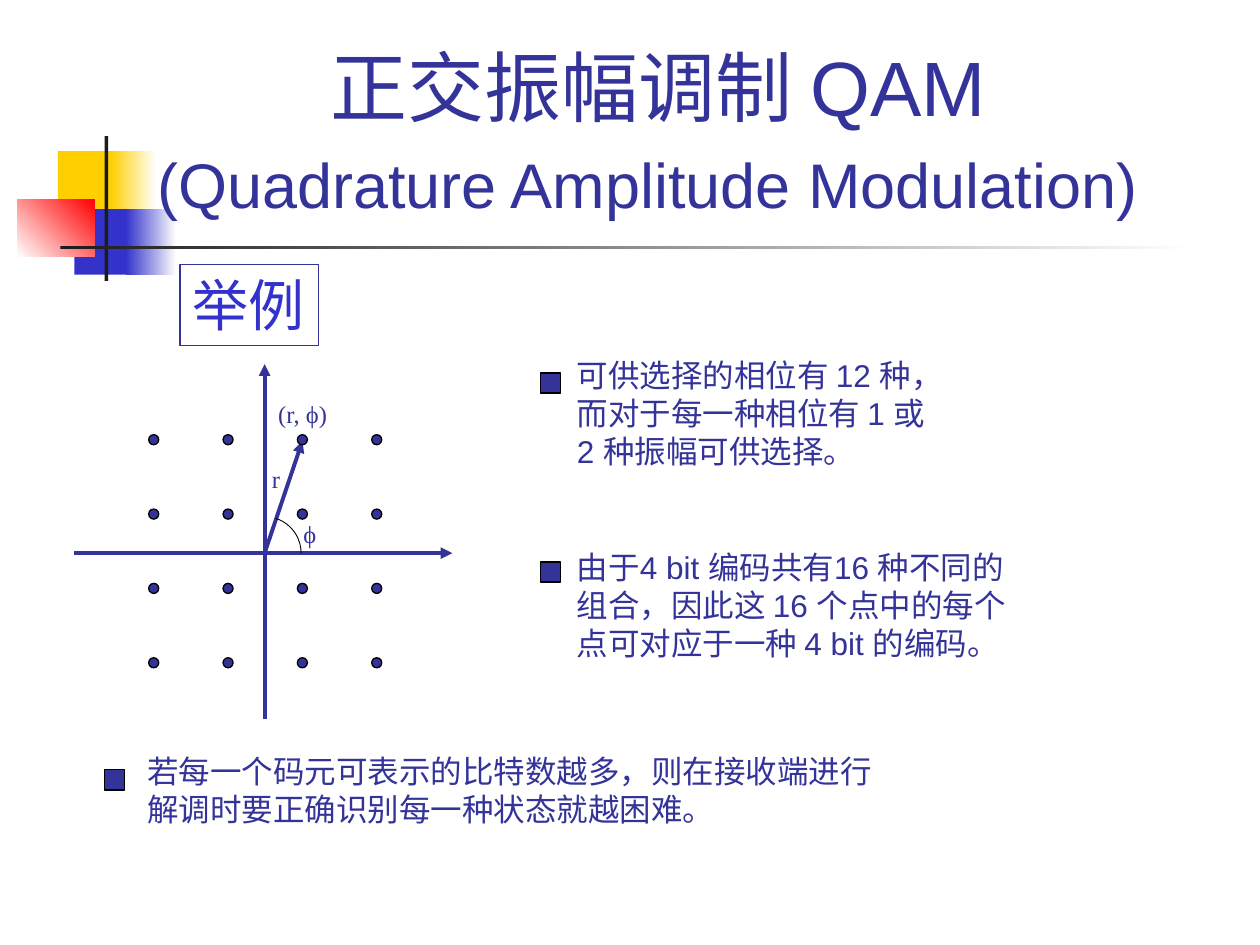
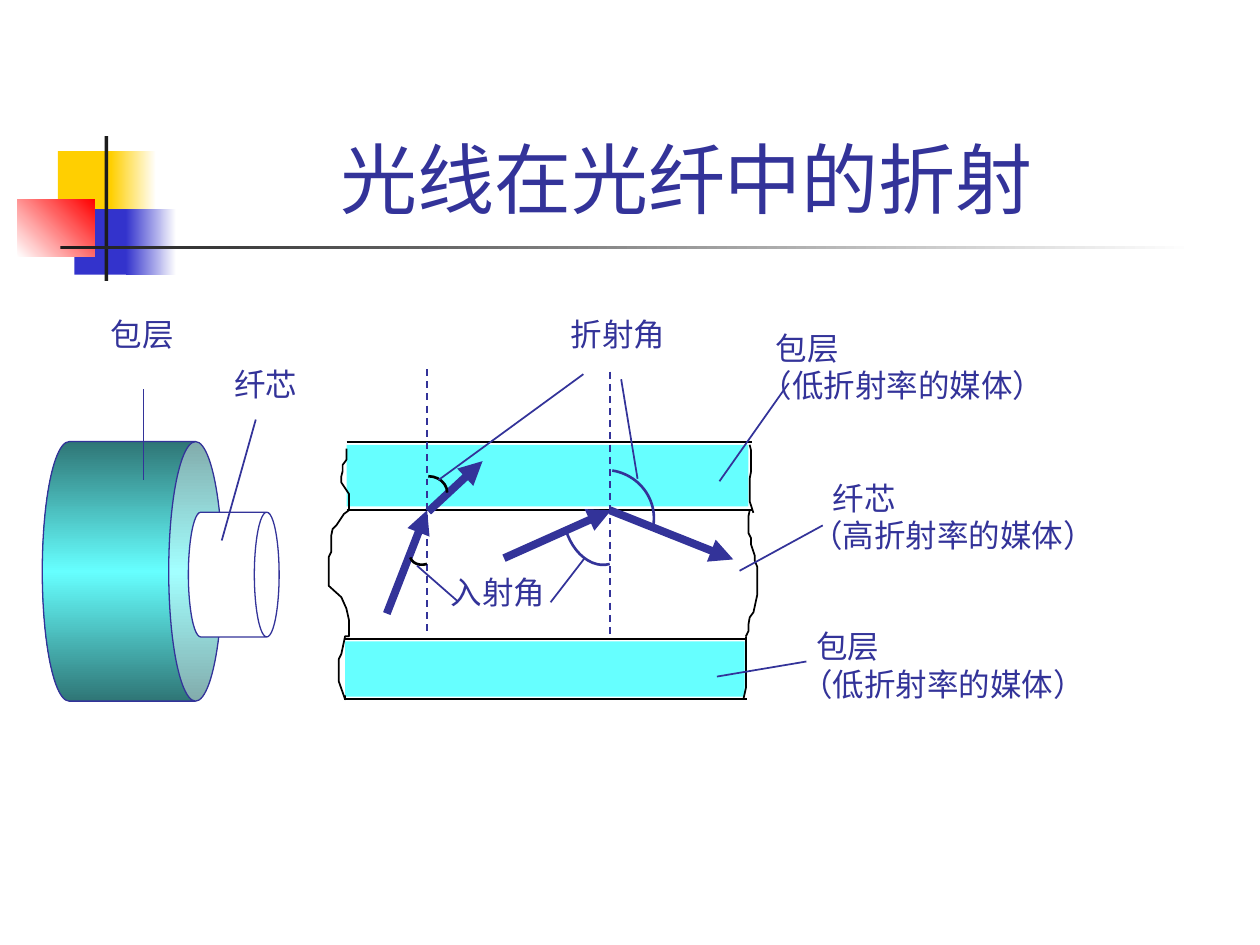
from pptx import Presentation
from pptx.dml.color import RGBColor
from pptx.enum.dml import MSO_LINE_DASH_STYLE as Dash
from pptx.enum.shapes import MSO_CONNECTOR as Link, MSO_SHAPE as Preset
from pptx.enum.text import MSO_ANCHOR as Anchor, PP_ALIGN as Align
from pptx.oxml.ns import qn
from pptx.util import Cm, Pt
from lxml.etree import SubElement

# ---- shared look ----
NAVY, BLUE, YELLOW, RED = "333399", "3333CC", "FFCF01", "FF0000"
INK, BLACK, WHITE, CYAN, TEAL = "1C1C1C", "000000", "FFFFFF", "66FFFF", "2F7676"
SANS, SERIF, HAN = "Arial", "Times New Roman", "Noto Sans CJK SC"

# Bands of every slide: box in inches, gradient colours (or one colour), angle
BANDS = [
    ((0.46, 1.2, 0.48, 0.52), [YELLOW], 0),
    ((0.88, 1.2, 0.36, 0.52), [YELLOW, WHITE], 0),
    ((0.59, 1.66, 0.46, 0.52), [BLUE], 0),
    ((1, 1.66, 0.4, 0.52), [BLUE, WHITE], 0),
    ((0.14, 1.58, 0.61, 0.46), [WHITE, RED], 315),
    ((0.83, 1.08, 0.03, 1.15), [INK], 0),
    ((0.48, 1.95, 9, 0.03), [INK, WHITE], 0),
]

# ---- slide 1: constellation ----
QAM_TITLE = [[("正交振幅调制 QAM", 44)],
             [("(Quadrature Amplitude Modulation)", 36), (" ", 44)]]
ORIGIN = (2.1, 4.39)
AXES = [((2.1, 5.71), (2.1, 2.89)), ((0.59, 4.39), (3.59, 4.39)),
        (ORIGIN, (2.4, 3.5))]
DOT, DOT_STEP, DOT_START = 0.08, 0.59, (1.18, 3.45)
SYMBOLS = [("r", (2.06, 3.63, 0.27, 0.33)), ("ϕ", (2.31, 4.07, 0.32, 0.33)),
           ("(r, ϕ)", (2.11, 3.12, 0.61, 0.33))]
# Remarks: lines, text box, left and top of the square bullet, font
REMARKS = [
    (["可供选择的相位有 12 种,".replace(",", ","), "而对于每一种相位有 1 或", "2 种振幅可供选择。"],
     (4.48, 2.78, 4.09, 1.3), (4.29, 2.96), SANS),
    (["由于4 bit 编码共有16 种不同的", "组合,因此这 16 个点中的每个",
      "点可对应于一种 4 bit 的编码。"],
     (4.48, 4.3, 4.77, 1.3), (4.29, 4.46), SANS),
    (["若每一个码元可表示的比特数越多,则在接收端进行",
      "解调时要正确识别每一种状态就越困难。"],
     (1.07, 5.92, 7.87, 0.9), (0.83, 6.11), HAN),
]

# ---- slide 2: optical fibre ----
FIBRE_TITLE = [[("光线在光纤中的折射 ", 44)]]
CLADDINGS = [(2.75, 3.53, 3.19, 0.49), (2.74, 5.09, 3.17, 0.44)]
WALLS = [(2.75, 5.97, 3.51), (2.75, 5.97, 4.05), (2.73, 5.93, 5.07), (2.73, 5.93, 5.55)]
NORMALS = [((3.39, 2.93), (3.39, 5.05)), ((4.84, 2.95), (4.84, 5.07))]
RAYS = [((3.4, 4.06), (3.83, 3.66)), ((3.07, 4.87), (3.39, 4.05)),
        ((4, 4.43), (4.85, 4.05)), ((4.84, 4.05), (5.82, 4.44))]
# Quarter arcs: centre, radii, rotation, colour
ANGLES = [((3.4, 3.91), (0.15, 0.13), 0, BLACK), ((3.36, 4.39), (0.11, 0.09), 162, BLACK),
          ((4.74, 4.13), (0.26, 0.36), 164, NAVY), ((4.8, 4.11), (0.39, 0.38), 9, NAVY)]
LEADERS = [((4.93, 3.01), (5.06, 3.8)), ((3.48, 3.81), (4.63, 2.97)),
           ((3.31, 4.49), (3.63, 4.77)), ((4.37, 4.78), (4.64, 4.43)),
           ((5.87, 4.53), (6.53, 4.17)), ((6.26, 3.04), (5.71, 3.82)),
           ((6.4, 5.25), (5.69, 5.37)), ((1.14, 3.09), (1.14, 3.81)),
           ((2.03, 3.33), (1.76, 4.29))]
# Labels: lines, box, indent of the first line
LABELS = [
    (["折射角"], (4.43, 2.45, 1.2, 0.5), 0),
    (["入射角"], (3.48, 4.5, 1.2, 0.5), 0),
    (["包层", "(低折射率的媒体)"], (5.94, 2.56, 3.2, 0.9), 0.12),
    (["包层", "(低折射率的媒体)"], (6.26, 4.93, 3.2, 0.9), 0.12),
    (["纤芯", "(高折射率的媒体)"], (6.34, 3.75, 3.48, 0.9), 0.17),
    (["包层"], (0.78, 2.45, 0.87, 0.5), 0),
    (["纤芯"], (1.76, 2.85, 0.76, 0.9), 0),
]
# Cylinders: box, depth of the lid, colours
CYLINDERS = [((0.02, 3.82, 2.06, 1.43), 0.298, [TEAL, CYAN, TEAL]),
             ((1.36, 4.2, 0.99, 0.72), 0.273, [WHITE])]
BROKEN_EDGES = [
    [(2.75, 3.56), (2.75, 3.65), (2.72, 3.69), (2.72, 3.74), (2.71, 3.78), (2.71, 3.83),
     (2.77, 3.92), (2.77, 4.05), (2.73, 4.08), (2.67, 4.17), (2.64, 4.2), (2.63, 4.25),
     (2.63, 4.38), (2.61, 4.42), (2.61, 4.65), (2.71, 4.74), (2.75, 4.83), (2.77, 4.92),
     (2.77, 5.05), (2.74, 5.05), (2.71, 5.19), (2.69, 5.23), (2.69, 5.41), (2.74, 5.55),
     (2.74, 5.52)],
    [(5.95, 3.53), (5.96, 3.57), (5.96, 3.75), (5.95, 3.8), (5.95, 3.98), (5.98, 4.07)],
    [(5.95, 4.05), (5.94, 4.1), (5.94, 4.23), (5.96, 4.27), (5.96, 4.32), (5.99, 4.41),
     (5.99, 4.45), (6.01, 4.5), (6.01, 4.72), (5.98, 4.86), (5.95, 4.9), (5.94, 4.96),
     (5.94, 5.01), (5.92, 5.05)],
    [(5.92, 5.05), (5.92, 5.46), (5.9, 5.55)],
]


def inches(*values):
    """Turn lengths in inches into a list of Cm lengths."""
    return [Cm(value * 2.54) for value in values]


def rgb(code):
    """Turn a hex string into a colour."""
    return RGBColor.from_string(code)


def paint(shape, colours=(), angle=0, line=None, width=0.75):
    """Fill with nothing, one colour or an even gradient, and set the outline."""
    shape.shadow.inherit = False
    if len(colours) > 1:
        shape.fill.gradient()
        gradient = shape.element.spPr.find(qn("a:gradFill"))
        stops = gradient.find(qn("a:gsLst"))
        for stop in list(stops):
            stops.remove(stop)
        for i, colour in enumerate(colours):
            stop = SubElement(stops, qn("a:gs"), pos=str(100000 * i // (len(colours) - 1)))
            SubElement(stop, qn("a:srgbClr"), val=colour)
        gradient.find(qn("a:lin")).set("ang", str(angle * 60000))
    elif colours:
        shape.fill.solid()
        shape.fill.fore_color.rgb = rgb(colours[0])
    else:
        shape.fill.background()
    if line:
        shape.line.color.rgb = rgb(line)
        shape.line.width = Pt(width)
    else:
        shape.line.fill.background()


def add_preset(slide, preset, box, colours=(), **look):
    """Add a painted preset shape."""
    shape = slide.shapes.add_shape(preset, *inches(*box))
    paint(shape, colours, **look)
    return shape


def add_line(slide, start, end, colour=NAVY, width=1, arrow=False, dash=None):
    """Add a straight line, with an arrowhead at its end if asked."""
    line = slide.shapes.add_connector(Link.STRAIGHT, *inches(*start, *end))
    line.line.color.rgb = rgb(colour)
    line.line.width = Pt(width)
    if dash:
        line.line.dash_style = dash
    if arrow:
        SubElement(line.line._get_or_add_ln(), qn("a:tailEnd"), type="triangle")
    SubElement(line.element.spPr, qn("a:effectLst"))


def add_arc(slide, centre, radii, turn=0, colour=BLACK, width=1.5, start=270):
    """Add an arc of an ellipse that runs from the start angle to 0 degrees."""
    (x, y), (rx, ry) = centre, radii
    arc = add_preset(slide, Preset.ARC, (x - rx, y - ry, 2 * rx, 2 * ry),
                     line=colour, width=width)
    arc.adjustments[0] = start * 0.6  # 60000 units a degree, scaled by 100000
    arc.rotation = turn


def add_edge(slide, points):
    """Add an open black outline through the points."""
    corners = [tuple(inches(*point)) for point in points]
    builder = slide.shapes.build_freeform(*corners[0])
    builder.add_line_segments(corners[1:], close=False)
    paint(builder.convert_to_shape(), line=BLACK, width=1)


def add_text(slide, lines, box, size=18, font=SANS, colour=NAVY, align=Align.LEFT,
             anchor=Anchor.TOP, wrap=True, indent=0, border=None, joined=False):
    """Add lines of text; a line is a string or a list of (text, size) runs."""
    holder = slide.shapes.add_textbox(*inches(*box))
    if border:
        holder.line.color.rgb = rgb(border)
        holder.line.width = Pt(0.75)
    frame = holder.text_frame
    frame.word_wrap, frame.vertical_anchor = wrap, anchor
    paragraph = frame.paragraphs[0]
    for i, line in enumerate(lines):
        if i and joined:
            paragraph.add_line_break()
        elif i:
            paragraph = frame.add_paragraph()
        paragraph.alignment = align
        if indent and i == 0:
            paragraph._p.get_or_add_pPr().set("marL", str(inches(indent)[0]))
        for text, points in [(line, size)] if isinstance(line, str) else line:
            run = paragraph.add_run()
            run.text = text
            run.font.size, run.font.name = Pt(points), font
            run.font.color.rgb = rgb(colour)
            SubElement(run.font._element, qn("a:ea"), typeface=HAN)


def add_slide(deck, title, left):
    """Add a slide with the shared bands and a title that starts at left."""
    slide = deck.slides.add_slide(deck.slide_layouts[6])
    for box, colours, angle in BANDS:
        add_preset(slide, Preset.RECTANGLE, box, colours, angle=angle)
    add_text(slide, title, (left, 0.23, 9.78 - left, 1.6), align=Align.CENTER,
             anchor=Anchor.BOTTOM, joined=True)
    return slide


def full_width(lines):
    """Use Chinese full-width punctuation in the lines."""
    return [line.translate(str.maketrans(",()", "\uff0c\uff08\uff09")) for line in lines]


def build_constellation(deck):
    """Build the slide on quadrature amplitude modulation."""
    slide = add_slide(deck, QAM_TITLE, 0.67)
    for start, end in AXES:
        add_line(slide, start, end, width=2.25, arrow=True)
    for row in range(4):
        for column in range(4):
            spot = (DOT_START[0] + column * DOT_STEP, DOT_START[1] + row * DOT_STEP)
            add_preset(slide, Preset.OVAL, (*spot, DOT, DOT), [NAVY], line=BLACK)
    add_arc(slide, ORIGIN, (0.29, 0.29), width=0.5, start=288)
    for symbol, box in SYMBOLS:
        add_text(slide, [symbol], box, size=14, font=SERIF, wrap=False)
    for lines, box, bullet, font in REMARKS:
        add_text(slide, full_width(lines), box, font=font)
        add_preset(slide, Preset.RECTANGLE, (*bullet, 0.16, 0.16), [NAVY], line=BLACK)
    add_text(slide, ["举例"], (1.43, 2.1, 1.1, 0.64), size=32, colour=BLUE,
             wrap=False, border=NAVY)


def build_fibre(deck):
    """Build the slide on refraction in an optical fibre."""
    slide = add_slide(deck, FIBRE_TITLE, 1.26)
    for left, right, y in WALLS:
        add_line(slide, (left, y), (right, y), BLACK)
    for box in CLADDINGS:
        add_preset(slide, Preset.RECTANGLE, box, [CYAN])
    for start, end in NORMALS:
        add_line(slide, start, end, dash=Dash.DASH)
    for start, end in RAYS:
        add_line(slide, start, end, width=4.5, arrow=True)
    for centre, radii, turn, colour in ANGLES:
        add_arc(slide, centre, radii, turn, colour)
    for points in BROKEN_EDGES:
        add_edge(slide, points)
    for box, depth, colours in CYLINDERS:
        cylinder = add_preset(slide, Preset.CAN, box, colours, line=NAVY)
        cylinder.adjustments[0] = depth
        cylinder.rotation = 90
    for lines, box, indent in LABELS:
        add_text(slide, full_width(lines), box, indent=indent)
    for start, end in LEADERS:
        add_line(slide, start, end)


deck = Presentation()
deck.slide_width, deck.slide_height = inches(10, 7.5)
build_constellation(deck)
build_fibre(deck)
deck.save("out.pptx")
